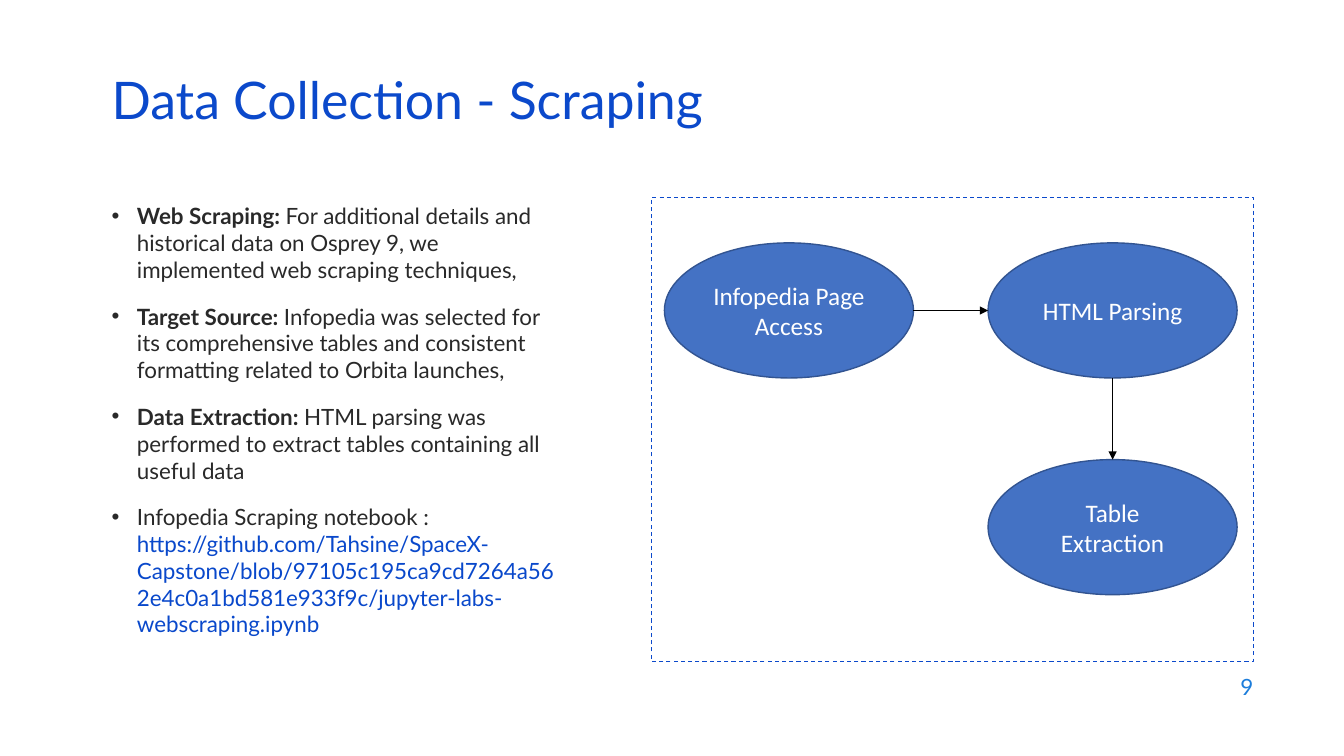
from lxml import etree
from pptx import Presentation
from pptx.dml.color import RGBColor
from pptx.enum.dml import MSO_LINE
from pptx.enum.shapes import MSO_CONNECTOR, MSO_SHAPE
from pptx.enum.text import MSO_ANCHOR, PP_ALIGN
from pptx.oxml.ns import qn
from pptx.util import Inches, Pt

RECT, OVAL = MSO_SHAPE.RECTANGLE, MSO_SHAPE.OVAL
LINE, DASH = MSO_CONNECTOR.STRAIGHT, MSO_LINE.DASH
TOP, MIDDLE = MSO_ANCHOR.TOP, MSO_ANCHOR.MIDDLE
LEFT, CENTER, RIGHT = PP_ALIGN.LEFT, PP_ALIGN.CENTER, PP_ALIGN.RIGHT
BLUE, DARK = "0B49CB", "292929"


def paint(part, color):
    if hasattr(part, "solid"):
        part.solid()
        part = part.fore_color
    part.rgb = RGBColor.from_string(color)


def write(para, text, size, color, face="Lato", bold=False):
    run = para.add_run()
    run.text = text
    run.font.name = face
    run.font.size = Pt(size)
    run.font.bold = bold
    paint(run.font.color, color)


deck = Presentation()
deck.slide_width, deck.slide_height = Inches(13.33), Inches(7.5)
slide = deck.slides.add_slide(deck.slide_layouts[6])
shapes = slide.shapes

frames = []
for x, y, w, h, anchor, align in [
    (1.01, 0.76, 11.5, 0.6, MIDDLE, LEFT),
    (9.53, 6.59, 3, 0.44, MIDDLE, RIGHT),
    (1.01, 1.96, 4.71, 4.95, TOP, LEFT),
]:
    box = shapes.add_textbox(Inches(x), Inches(y), Inches(w), Inches(h))
    frame = box.text_frame
    frame.word_wrap = True
    frame.vertical_anchor = anchor
    frame.paragraphs[0].alignment = align
    frames.append(frame)
title, number, body = frames

title.paragraphs[0].line_spacing = 0.7
write(title.paragraphs[0], "Data Collection - Scraping", 37, BLUE)
write(number.paragraphs[0], "9", 16, "1C7DDB")

points = [
    ("Web Scraping: ", True,
     "For additional details and historical data on Osprey 9, we implemented "
     "web scraping techniques,", DARK),
    ("Target Source: ", True,
     "Infopedia was selected for its comprehensive tables and consistent "
     "formatting related to Orbita launches,", DARK),
    ("Data Extraction: ", True,
     "HTML parsing was performed to extract tables containing all useful data",
     DARK),
    ("Infopedia Scraping notebook : ", False,
     "https://github.com/Tahsine/SpaceX-Capstone/blob/"
     "97105c195ca9cd7264a562e4c0a1bd581e933f9c/jupyter-labs-webscraping.ipynb",
     "0948CB"),
]
for i, (head, bold, rest, color) in enumerate(points):
    para = body.add_paragraph() if i else body.paragraphs[0]
    para.space_before = Pt(14 if i else 0)
    props = para._p.get_or_add_pPr()
    props.set("marL", str(Inches(0.25)))
    props.set("indent", str(Inches(-0.25)))
    etree.SubElement(props, qn("a:buFont")).set("typeface", "Arial")
    etree.SubElement(props, qn("a:buChar")).set("char", "•")
    write(para, head, 16, DARK, bold=bold)
    write(para, rest, 16, color)

panel = shapes.add_shape(RECT, Inches(6.46), Inches(1.96), Inches(5.97), Inches(4.6))
panel.shadow.inherit = False
panel.fill.background()
paint(panel.line.color, BLUE)
panel.line.width = Pt(0.75)
panel.line.dash_style = DASH

steps = []
for x, y, label in [
    (6.59, 2.41, "Infopedia Page Access"),
    (9.8, 2.41, "HTML Parsing"),
    (9.8, 4.56, "Table Extraction"),
]:
    step = shapes.add_shape(OVAL, Inches(x), Inches(y), Inches(2.47), Inches(1.34))
    step.shadow.inherit = False
    paint(step.fill, "4472C4")
    paint(step.line.color, "325491")
    step.line.width = Pt(1)
    step.text_frame.word_wrap = True
    step.text_frame.vertical_anchor = MIDDLE
    para = step.text_frame.paragraphs[0]
    para.alignment = CENTER
    write(para, label, 18, "FFFFFF", "Calibri")
    steps.append(step)

access, parsing, table = steps
across = access.top + access.height // 2
down = parsing.left + parsing.width // 2
for x1, y1, x2, y2 in [
    (access.left + access.width, across, parsing.left, across),
    (down, parsing.top + parsing.height, down, table.top),
]:
    arrow = shapes.add_connector(LINE, x1, y1, x2, y2)
    paint(arrow.line.color, "000000")
    arrow.line.width = Pt(0.5)
    etree.SubElement(arrow.line._get_or_add_ln(), qn("a:tailEnd")).set("type", "triangle")
    etree.SubElement(arrow._element.spPr, qn("a:effectLst"))

deck.save("out.pptx")
